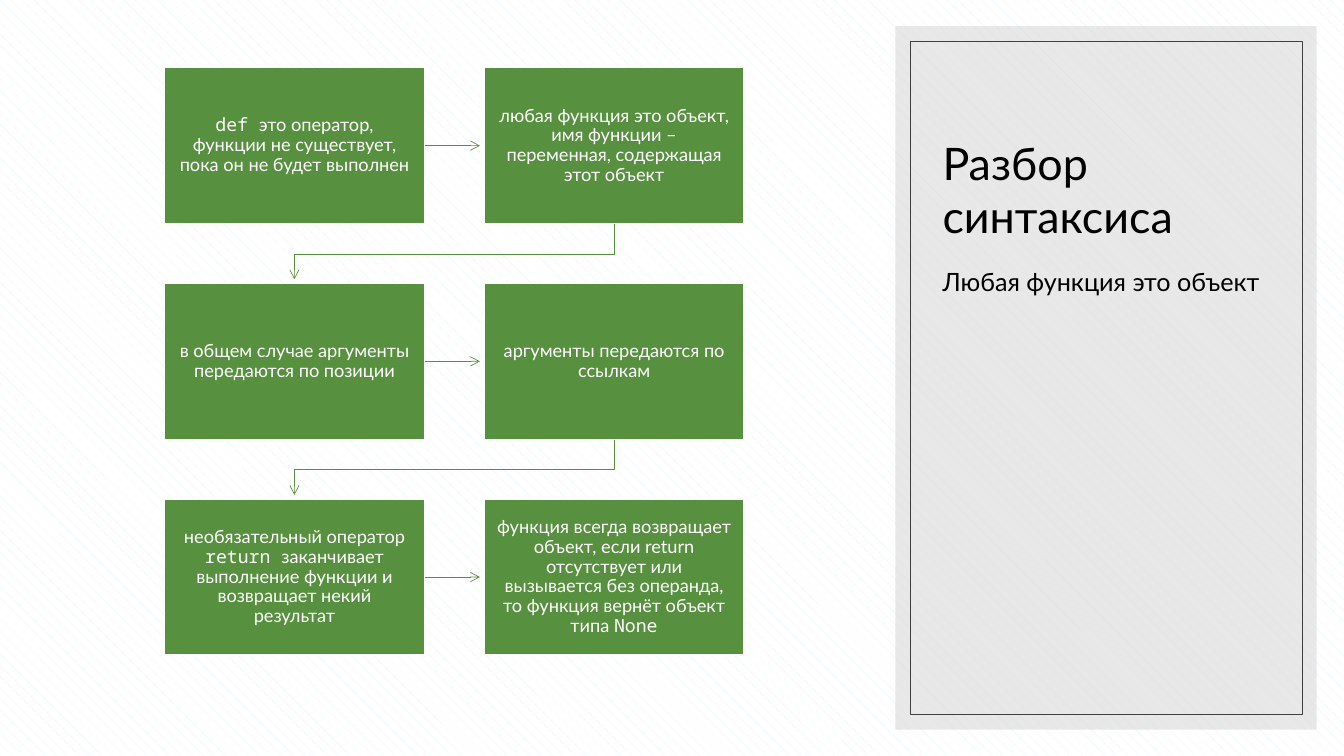
from lxml import etree
from pptx import Presentation
from pptx.dml.color import RGBColor
from pptx.enum.dml import MSO_PATTERN
from pptx.enum.shapes import MSO_CONNECTOR, MSO_SHAPE
from pptx.enum.text import MSO_ANCHOR, PP_ALIGN
from pptx.oxml.ns import qn
from pptx.util import Inches, Pt

RECTANGLE = MSO_SHAPE.RECTANGLE
STRAIGHT = MSO_CONNECTOR.STRAIGHT
SHINGLE = MSO_PATTERN.SHINGLE
TOP, MIDDLE, BOTTOM = MSO_ANCHOR.TOP, MSO_ANCHOR.MIDDLE, MSO_ANCHOR.BOTTOM
LEFT, CENTER = PP_ALIGN.LEFT, PP_ALIGN.CENTER

SANS, MONO = "Lato", "Noto Sans Mono"
GREEN, WHITE, BLACK = "57903F", "FFFFFF", "000000"

# Step grid
STEP_LEFT, STEP_TOP = 1.63, 0.67
STEP_WIDTH, STEP_HEIGHT = 2.58, 1.55
COLUMN_PITCH, ROW_PITCH = 3.17, 2.14
COLUMNS = 2
ARROW_GAP = 0.04  # space between an arrowhead and the next step
BEND_DROP = 0.3

# Each step is a list of (text, font) pieces
STEPS = [
    [("def ", MONO),
     ("это оператор, функции не существует, пока он не будет выполнен", SANS)],
    [("любая функция это объект, имя функции – переменная, "
      "содержащая этот объект", SANS)],
    [("в общем случае аргументы передаются по позиции", SANS)],
    [("аргументы передаются по ссылкам", SANS)],
    [("необязательный оператор ", SANS), ("return ", MONO),
     ("заканчивает выполнение функции и возвращает некий результат", SANS)],
    [("функция всегда возвращает объект, если return отсутствует или "
      "вызывается без операнда, то функция вернёт объект типа ", SANS),
     ("None", MONO)],
]


def rgb(value):
    return RGBColor.from_string(value)


def write(shape, pieces, size, color, align=LEFT, anchor=TOP,
          line_spacing=1.0, space_before=0, margins=(0.1, 0.05)):
    frame = shape.text_frame
    frame.word_wrap = True
    frame.vertical_anchor = anchor
    frame.margin_left = frame.margin_right = Inches(margins[0])
    frame.margin_top = frame.margin_bottom = Inches(margins[1])
    paragraph = frame.paragraphs[0]
    paragraph.alignment = align
    paragraph.line_spacing = line_spacing
    paragraph.space_before = Pt(space_before)
    for text, font in pieces:
        run = paragraph.add_run()
        run.text = text
        run.font.name = font
        run.font.size = Pt(size)
        run.font.color.rgb = rgb(color)


def add_box(slide, box, fill=None, opacity=None, line=None, line_width=1):
    shape = slide.shapes.add_shape(RECTANGLE, *map(Inches, box))
    shape.shadow.inherit = False
    if fill:
        shape.fill.solid()
        shape.fill.fore_color.rgb = rgb(fill)
        if opacity:
            color = shape.fill._xPr.find(".//" + qn("a:srgbClr"))
            etree.SubElement(color, qn("a:alpha"), val=str(opacity * 1000))
    else:
        shape.fill.background()
    if line:
        shape.line.color.rgb = rgb(line)
        shape.line.width = Pt(line_width)
    else:
        shape.line.fill.background()
    return shape


def add_arrow(slide, points):
    """Draw a straight connector for two points, a bent path for more."""
    points = [(Inches(x), Inches(y)) for x, y in points]
    if len(points) == 2:
        arrow = slide.shapes.add_connector(STRAIGHT, *points[0], *points[1])
        etree.SubElement(arrow._element.spPr, qn("a:effectLst"))
    else:
        builder = slide.shapes.build_freeform(*points[0])
        builder.add_line_segments(points[1:], close=False)
        arrow = builder.convert_to_shape()
        arrow.shadow.inherit = False
        arrow.fill.background()
    arrow.line.color.rgb = rgb(GREEN)
    arrow.line.width = Pt(0.5)
    etree.SubElement(arrow.line._get_or_add_ln(), qn("a:tailEnd"), type="arrow")


def add_step(slide, index, pieces):
    row, column = divmod(index, COLUMNS)
    left = STEP_LEFT + column * COLUMN_PITCH
    top = STEP_TOP + row * ROW_PITCH
    right, bottom = left + STEP_WIDTH, top + STEP_HEIGHT

    # Arrow to the next step: across the row, or down to the next row
    if column < COLUMNS - 1:
        middle = top + STEP_HEIGHT / 2
        add_arrow(slide, [(right, middle),
                          (left + COLUMN_PITCH - ARROW_GAP, middle)])
    elif index < len(STEPS) - 1:
        start = left + STEP_WIDTH / 2
        end = STEP_LEFT + STEP_WIDTH / 2
        bend = bottom + BEND_DROP
        add_arrow(slide, [(start, bottom), (start, bend), (end, bend),
                          (end, top + ROW_PITCH - ARROW_GAP)])

    step = add_box(slide, (left, top, STEP_WIDTH, STEP_HEIGHT),
                   fill=GREEN, line=WHITE)
    write(step, pieces, 13, WHITE, align=CENTER, anchor=MIDDLE,
          line_spacing=0.9, margins=(0.13, 0.13))


def add_text(slide, box, text, size, **text_format):
    textbox = slide.shapes.add_textbox(*map(Inches, box))
    write(textbox, [(text, SANS)], size, BLACK, **text_format)


def main():
    prs = Presentation()
    prs.slide_width, prs.slide_height = Inches(13.33), Inches(7.5)
    slide = prs.slides.add_slide(prs.slide_layouts[6])

    # Background
    backdrop = slide.background.fill
    backdrop.patterned()
    backdrop.pattern = SHINGLE
    backdrop.fore_color.rgb = rgb("DEF4F7")
    backdrop.back_color.rgb = rgb(WHITE)

    # Title panel
    add_box(slide, (8.88, 0.26, 4.18, 6.98), fill="D9D9D9", opacity=60)
    add_box(slide, (9.03, 0.41, 3.89, 6.68), line="404040", line_width=0.5)
    add_text(slide, (9.25, 0.66, 3.46, 1.8), "Разбор синтаксиса", 32,
             anchor=BOTTOM)
    add_text(slide, (9.25, 2.56, 3.46, 3.94), "Любая функция это объект", 18,
             line_spacing=1.1, space_before=8)

    # Steps with their arrows
    for index, pieces in enumerate(STEPS):
        add_step(slide, index, pieces)

    prs.save("out.pptx")


if __name__ == "__main__":
    main()
